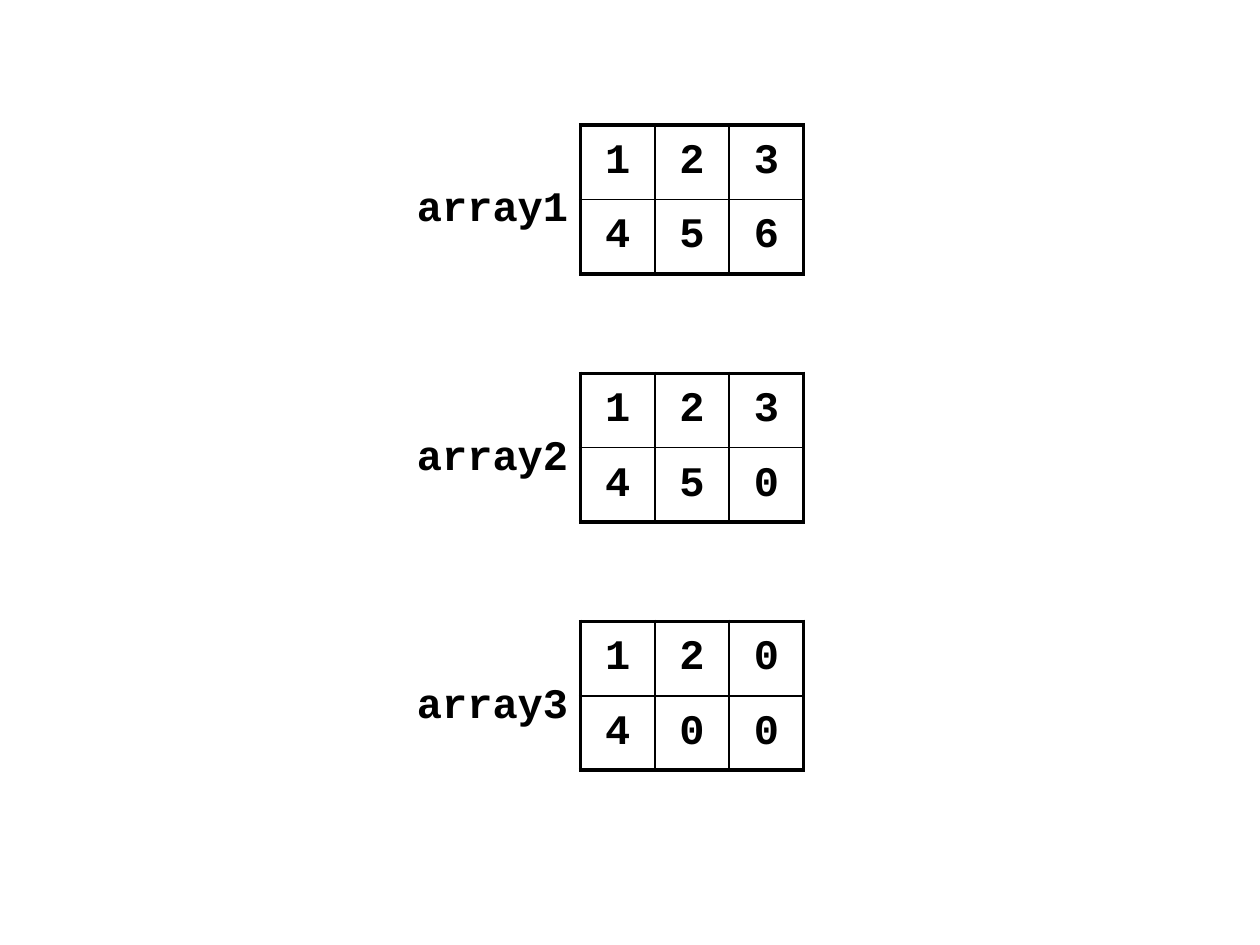
import pptx
import pptx.dml.color
import pptx.enum.text
import pptx.oxml
import pptx.oxml.ns
import pptx.util

Pt = pptx.util.Pt
ALIGN = pptx.enum.text.PP_ALIGN
MIDDLE = pptx.enum.text.MSO_ANCHOR.MIDDLE
BLACK = pptx.dml.color.RGBColor(0, 0, 0)

FONT = {"name": "Courier New", "size": Pt(24), "bold": True}
PLAIN = {"first_row": False, "horz_banding": False}
FRAME = {"word_wrap": False, "vertical_anchor": MIDDLE,
         "margin_left": Pt(0), "margin_top": Pt(10)}

CELL = 42.5
LEFT, TOP, PITCH = 331.7, 71.5, 141.8
LABEL_W, LABEL_H = 99.4, 56.8
THICK, THIN = 2.25, 1

ARRAYS = {
    "array1": ["123", "456"],
    "array2": ["123", "450"],
    "array3": ["120", "400"],
}


def apply(item, values):
    for key, value in values.items():
        setattr(item, key, value)


def write(frame, text, align):
    para = frame.paragraphs[0]
    para.alignment = align
    run = para.add_run()
    run.text = text
    apply(run.font, FONT)
    run.font.color.rgb = BLACK


def add_edge(cell, side, width):
    cell._tc.get_or_add_tcPr().append(pptx.oxml.parse_xml(
        f'<a:ln{side} {pptx.oxml.ns.nsdecls("a")} w="{Pt(width)}">'
        f'<a:solidFill><a:srgbClr val="{BLACK}"/></a:solidFill></a:ln{side}>'))


def add_grid(slide, rows, top):
    high, wide = len(rows), len(rows[0])
    table = slide.shapes.add_table(
        high, wide, Pt(LEFT), Pt(top), Pt(wide * CELL), Pt(high * CELL)).table
    apply(table, PLAIN)
    for y, row in enumerate(rows):
        for x, digit in enumerate(row):
            cell = table.cell(y, x)
            cell.vertical_anchor = MIDDLE
            write(cell.text_frame, digit, ALIGN.CENTER)
            outer = {"L": x == 0, "R": x == wide - 1,
                     "T": y == 0, "B": y == high - 1}
            for side, edge in outer.items():
                add_edge(cell, side, THICK if edge else THIN)
            cell.fill.background()


def add_label(slide, text, mid):
    box = slide.shapes.add_textbox(
        Pt(LEFT - LABEL_W), Pt(mid - LABEL_H / 2), Pt(LABEL_W), Pt(LABEL_H))
    apply(box.text_frame, FRAME)
    write(box.text_frame, text, ALIGN.RIGHT)


def main():
    deck = pptx.Presentation()
    apply(deck, {"slide_width": Pt(720), "slide_height": Pt(540)})
    slide = deck.slides.add_slide(deck.slide_layouts[6])
    for i, (name, rows) in enumerate(ARRAYS.items()):
        top = TOP + i * PITCH
        add_grid(slide, rows, top)
        add_label(slide, name, top + len(rows) * CELL / 2)
    deck.save("out.pptx")


if __name__ == "__main__":
    main()
